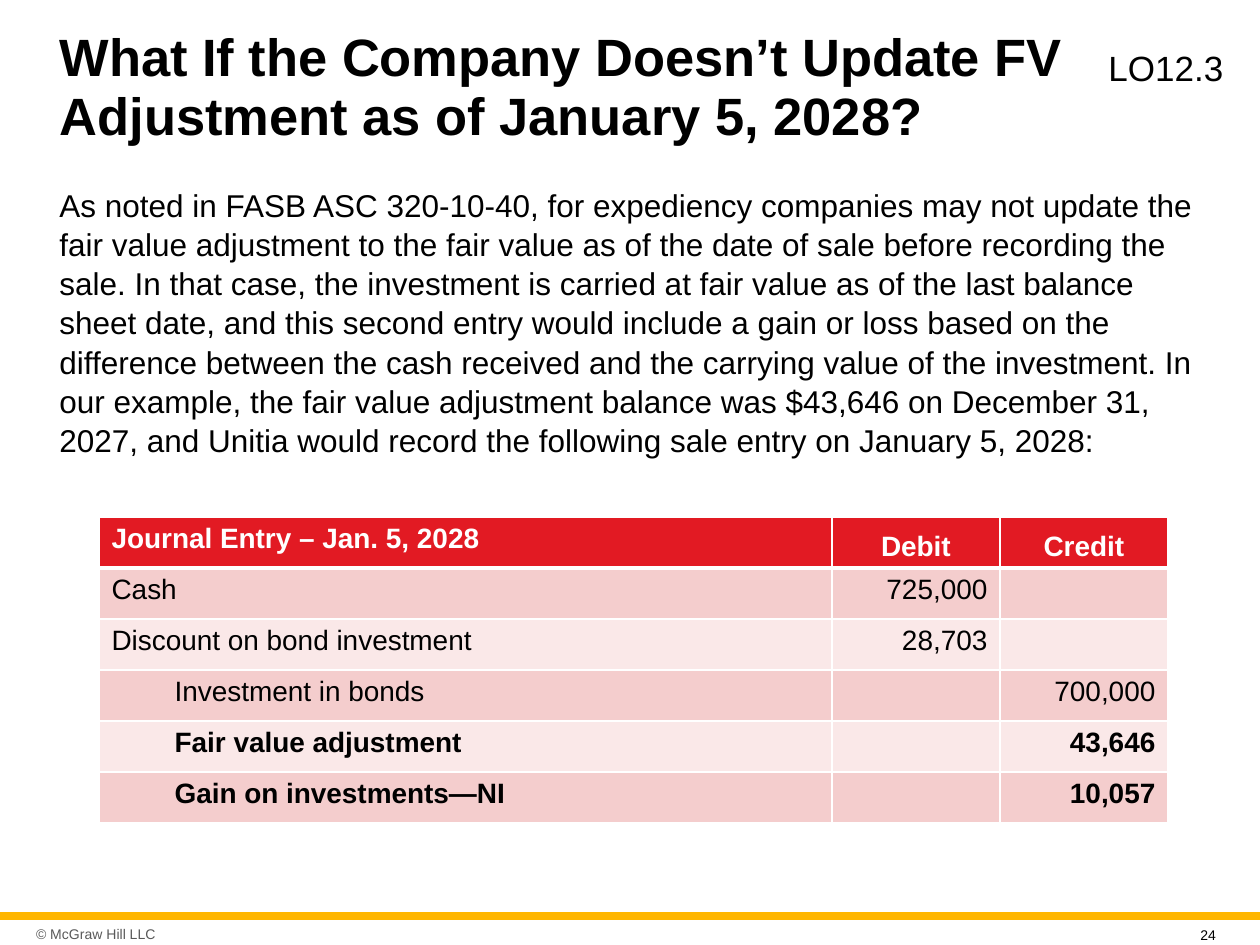
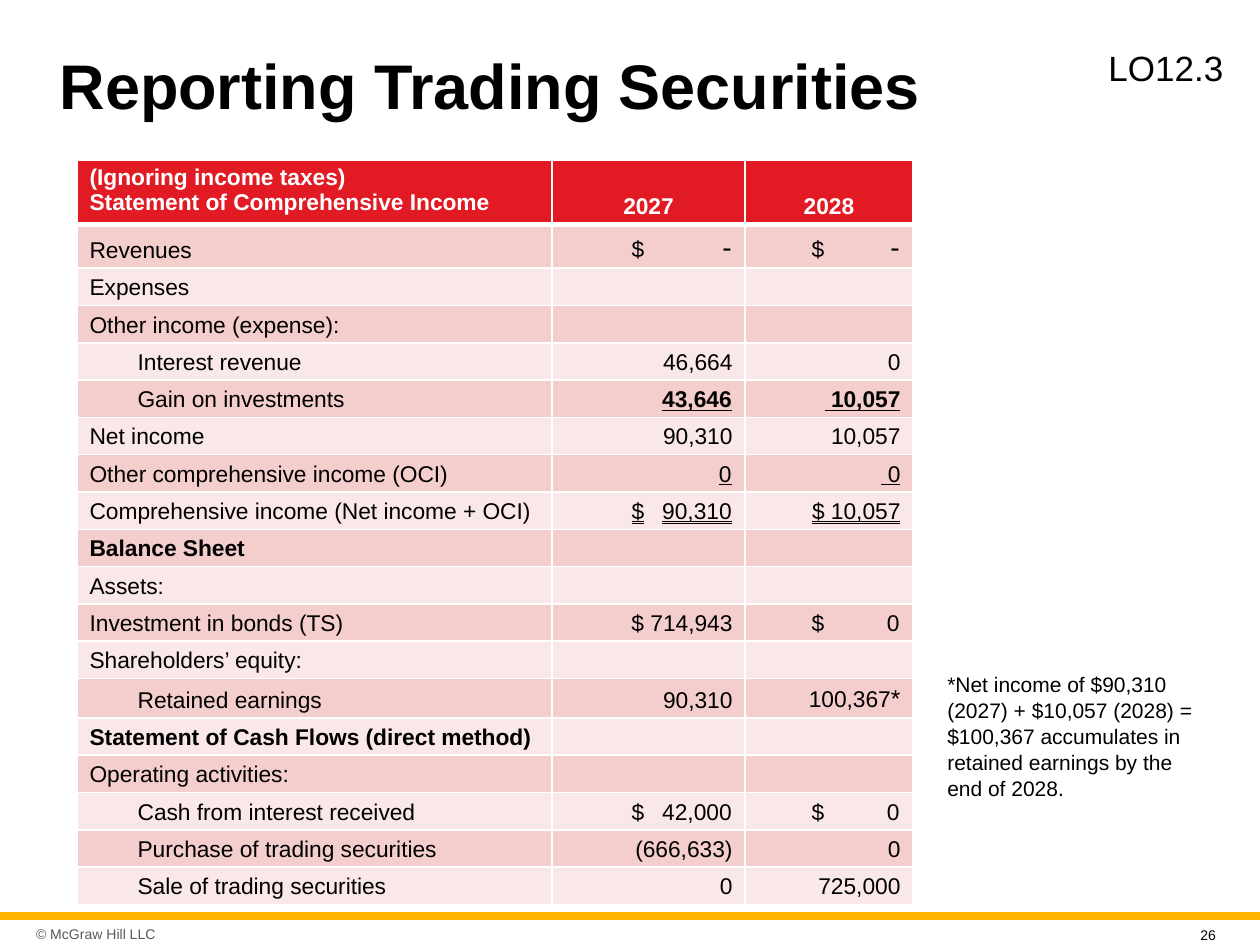
from lxml import etree
from pptx import Presentation
from pptx.dml.color import RGBColor
from pptx.enum.shapes import MSO_SHAPE
from pptx.enum.text import MSO_ANCHOR, MSO_AUTO_SIZE, MSO_UNDERLINE, PP_ALIGN
from pptx.oxml.ns import qn
from pptx.util import Pt

LEFT, CENTER, RIGHT = PP_ALIGN.LEFT, PP_ALIGN.CENTER, PP_ALIGN.RIGHT
TOP, MIDDLE, BOTTOM = MSO_ANCHOR.TOP, MSO_ANCHOR.MIDDLE, MSO_ANCHOR.BOTTOM
DOUBLE = MSO_UNDERLINE.DOUBLE_LINE
BLACK = RGBColor(0x00, 0x00, 0x00)
WHITE = RGBColor(0xFF, 0xFF, 0xFF)
GRAY = RGBColor(0x59, 0x59, 0x59)
GOLD = RGBColor(0xFF, 0xB6, 0x00)
RED = RGBColor(0xE2, 0x1A, 0x23)
BANDS = RGBColor(0xF4, 0xCD, 0xCD), RGBColor(0xFA, 0xE8, 0xE8)
FONT = "Arial"
PX_PER_INCH = 126
TITLE_SPACING, BODY_SPACING = 0.94, 1.04
OBJECTIVE = "LO12.3"
COPYRIGHT = "© McGraw Hill LLC"

ENTRY_TEXT = (
    "As noted in FASB ASC 320-10-40, for expediency companies may not update the "
    "fair value adjustment to the fair value as of the date of sale before recording "
    "the sale. In that case, the investment is carried at fair value as of the last "
    "balance sheet date, and this second entry would include a gain or loss based on "
    "the difference between the cash received and the carrying value of the "
    "investment. In our example, the fair value adjustment balance was $43,646 on "
    "December 31, 2027, and Unitia would record the following sale entry on "
    "January 5, 2028:"
)
NOTE_TEXT = (
    "*Net income of $90,310 (2027) + $10,057 (2028) = $100,367 accumulates in "
    "retained earnings by the end of 2028."
)

# A cell is a string or a list of (text, style) spans; a label is (indent level, cell).
BOLD = {"bold": True}
UNDER = {"underline": True}
TOTAL = {"underline": DOUBLE}
GAIN = {"bold": True, "underline": True}
DASH = [("\t$\t", {}), ("-", {"size": 16})]

JOURNAL = {
    "at": (99, 517), "columns": (733, 168, 168), "heights": [51] * 6,
    "size": 16, "inset": 6, "indent": 63, "anchor": TOP, "dollar_tabs": {},
    "header": ("Journal Entry – Jan. 5, 2028", "Debit", "Credit"),
    "rows": [
        ((0, "Cash"), "725,000", ""),
        ((0, "Discount on bond investment"), "28,703", ""),
        ((1, "Investment in bonds"), "", "700,000"),
        ((1, [("Fair value adjustment", BOLD)]), "", [("43,646", BOLD)]),
        ((1, [("Gain on investments—NI", BOLD)]), "", [("10,057", BOLD)]),
    ],
}
STATEMENTS = {
    "at": (77, 160), "columns": (475, 193, 168),
    "heights": [63, 42] + [36] * 11 + [37] + [36] * 5,
    "size": 13, "inset": 5, "indent": 48, "anchor": BOTTOM,
    "dollar_tabs": {1: 67, 2: 54},
    "header": ("(Ignoring income taxes)\nStatement of Comprehensive Income", "2027", "2028"),
    "rows": [
        ((0, "Revenues"), DASH, DASH),
        ((0, "Expenses"), "", ""),
        ((0, "Other income (expense):"), "", ""),
        ((1, "Interest revenue"), "46,664", "0"),
        ((1, "Gain on investments"), [("\t", {}), ("\t43,646", GAIN)], [(" 10,057", GAIN)]),
        ((0, "Net income"), "90,310", "10,057"),
        ((0, "Other comprehensive income (OCI)"), [("\t", {}), ("\t0", UNDER)], [(" 0", UNDER)]),
        ((0, "Comprehensive income (Net income + OCI)"),
         [("\t", {}), ("$\t90,310", TOTAL)], [("$ 10,057", TOTAL)]),
        ((0, [("Balance Sheet", BOLD)]), "", ""),
        ((0, "Assets:"), "", ""),
        ((0, "Investment in bonds (TS)"), "$ 714,943", "\t$\t0"),
        ((0, "Shareholders’ equity:"), "", ""),
        ((1, "Retained earnings"), "90,310", [("100,367", {}), ("*", {"size": 14})]),
        ((0, [("Statement of Cash Flows (direct method)", BOLD)]), "", ""),
        ((0, "Operating activities:"), "", ""),
        ((1, "Cash from interest received"), "\t$\t42,000", "\t$\t0"),
        ((1, "Purchase of trading securities"), "(666,633)", "0"),
        ((1, "Sale of trading securities"), "0", "725,000"),
    ],
}
PAGES = [
    {"title": "What If the Company Doesn’t Update FV Adjustment as of January 5, 2028?",
     "title_size": 30, "title_width": 1040, "number": "24", "table": JOURNAL,
     "text": ENTRY_TEXT, "text_at": (47, 178, 1166, 287), "text_size": 18},
    {"title": "Reporting Trading Securities",
     "title_size": 36, "title_width": 995, "number": "26", "table": STATEMENTS,
     "text": NOTE_TEXT, "text_at": (935, 664, 278, 134), "text_size": 12},
]


def px(length):
    return round(length * 914400 / PX_PER_INCH)


def place(shape, left, top, width, height):
    shape.left, shape.top, shape.width, shape.height = map(px, (left, top, width, height))


def add_span(para, text, size, color=BLACK, bold=False, underline=None):
    span = para.add_run()
    span.text = text
    font = span.font
    font.name, font.size, font.bold = FONT, Pt(size), bold
    font.color.rgb = color
    if underline:
        font.underline = underline


def add_text(page, at, text, size, color=BLACK, wrap=True, spacing=None):
    box = page.shapes.add_textbox(*map(px, at))
    frame = box.text_frame
    frame.word_wrap = wrap
    para = frame.paragraphs[0]
    if spacing:
        para.line_spacing = spacing
    add_span(para, text, size, color)
    return frame


def set_title(page, text, size, width):
    title = page.shapes.title
    place(title, 47, 26, width, 125)
    frame = title.text_frame
    frame.word_wrap = True
    frame.auto_size = MSO_AUTO_SIZE.NONE
    frame.vertical_anchor = MIDDLE
    para = frame.paragraphs[0]
    para.alignment, para.line_spacing = LEFT, TITLE_SPACING
    add_span(para, text, size, bold=True)


def add_frame(page, number):
    """Draw the gold band, copyright line, page number and learning objective."""
    band = page.shapes.add_shape(MSO_SHAPE.RECTANGLE, *map(px, (0, 912, 1260, 8)))
    band.shadow.inherit = False
    band.fill.solid()
    band.fill.fore_color.rgb = GOLD
    band.line.fill.background()
    footer = add_text(page, (30, 919, 170, 30), COPYRIGHT, 8, GRAY)
    footer.vertical_anchor = MIDDLE
    footer.margin_left = footer.margin_right = px(6)
    add_text(page, (1188, 920, 49, 23), number, 8)
    add_text(page, (1096, 40, 144, 52), OBJECTIVE, 20, wrap=False)


def set_borders(cell, bottom):
    properties = cell._tc.get_or_add_tcPr()
    for order, (side, weight) in enumerate(zip("LRTB", (1, 1, 1, bottom))):
        line = etree.Element(qn(f"a:ln{side}"), w=str(Pt(weight)))
        fill = etree.SubElement(line, qn("a:solidFill"))
        etree.SubElement(fill, qn("a:srgbClr"), val=str(WHITE))
        properties.insert(order, line)


def format_cell(cell, fill, inset, anchor, bottom=1):
    cell.fill.solid()
    cell.fill.fore_color.rgb = fill
    cell.vertical_anchor = anchor
    cell.margin_left = cell.margin_right = px(12.6)
    cell.margin_top = cell.margin_bottom = px(inset)
    set_borders(cell, bottom)


def set_tabs(para, dollar, amount):
    """Align the dollar sign on the left and the amount on the right."""
    tabs = etree.SubElement(para._p.get_or_add_pPr(), qn("a:tabLst"))
    for position, align in ((dollar, "l"), (amount, "r")):
        etree.SubElement(tabs, qn("a:tab"), pos=str(px(position)), algn=align)


def fill_header(table, data):
    for column, text in enumerate(data["header"]):
        cell = table.cell(0, column)
        format_cell(cell, RED, data["inset"], BOTTOM if column else TOP, bottom=3)
        for index, line in enumerate(text.split("\n")):
            frame = cell.text_frame
            para = frame.add_paragraph() if index else frame.paragraphs[0]
            para.alignment = CENTER if column else LEFT
            add_span(para, line, data["size"], WHITE, bold=True)


def fill_cell(cell, content, column, level, data):
    para = cell.text_frame.paragraphs[0]
    spans = [(content, {})] if isinstance(content, str) else content
    if not content:
        etree.SubElement(para._p, qn("a:endParaRPr"), sz=str(data["size"] * 100))
        return
    if any("\t" in text for text, _ in spans):
        para.alignment = LEFT
        set_tabs(para, data["dollar_tabs"][column], data["columns"][column] - 26)
    else:
        para.alignment = RIGHT if column else LEFT
    if level:
        para._p.get_or_add_pPr().set("marL", str(px(level * data["indent"])))
    for text, style in spans:
        add_span(para, text, **{"size": data["size"], **style})


def add_table(page, data):
    widths, heights = data["columns"], data["heights"]
    at = (*data["at"], sum(widths), sum(heights))
    table = page.shapes.add_table(len(heights), len(widths), *map(px, at)).table
    for column, width in zip(table.columns, widths):
        column.width = px(width)
    for row, height in zip(table.rows, heights):
        row.height = px(height)
    fill_header(table, data)
    for row, ((level, label), *amounts) in enumerate(data["rows"], 1):
        for column, content in enumerate([label, *amounts]):
            cell = table.cell(row, column)
            format_cell(cell, BANDS[(row - 1) % 2], data["inset"], data["anchor"],
                        bottom=1)
            fill_cell(cell, content, column, 0 if column else level, data)


def main():
    deck = Presentation()
    deck.slide_width, deck.slide_height = px(1260), px(945)
    title_only = deck.slide_layouts[5]
    for content in PAGES:
        page = deck.slides.add_slide(title_only)
        set_title(page, content["title"], content["title_size"], content["title_width"])
        add_frame(page, content["number"])
        add_text(page, content["text_at"], content["text"], content["text_size"],
                 spacing=BODY_SPACING)
        add_table(page, content["table"])
    deck.save("out.pptx")


if __name__ == "__main__":
    main()
